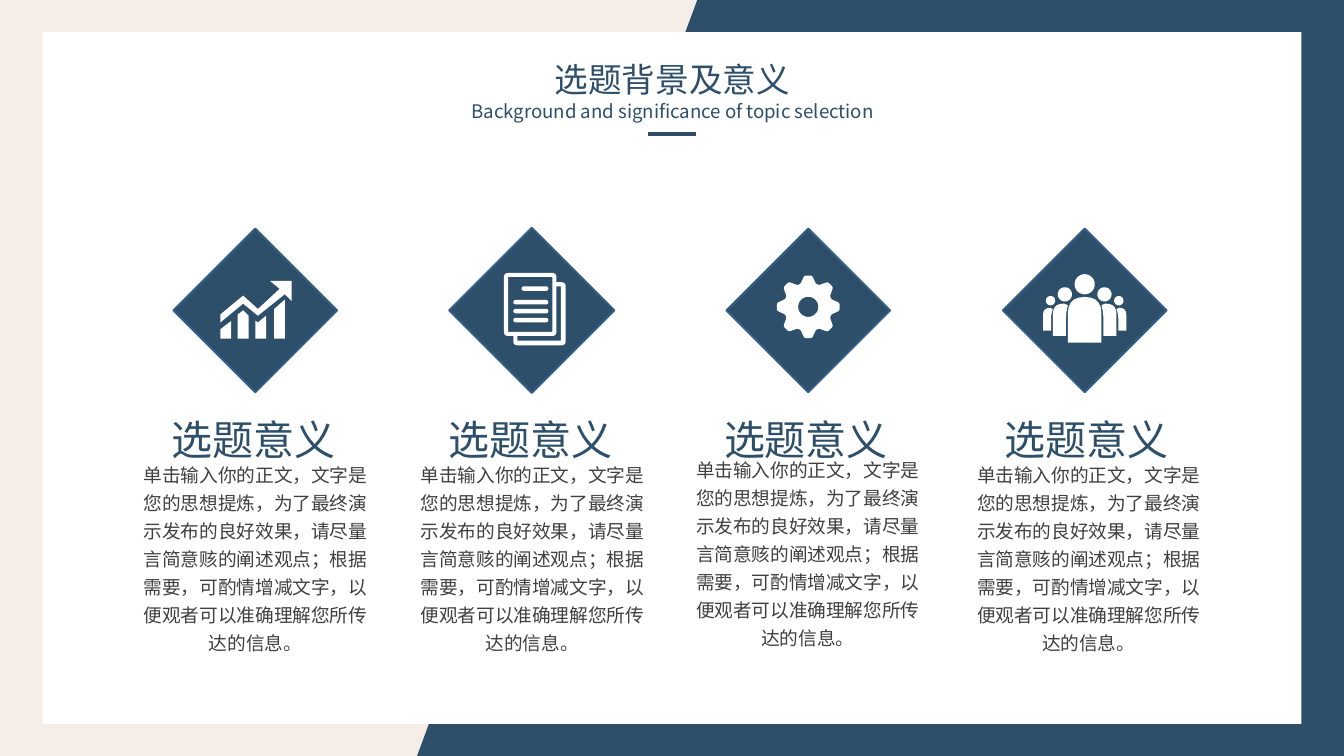
from dataclasses import dataclass
from math import cos, radians, sin

from lxml import etree
from pptx import Presentation
from pptx.dml.color import RGBColor
from pptx.enum.shapes import MSO_CONNECTOR, MSO_SHAPE
from pptx.enum.text import MSO_ANCHOR, MSO_AUTO_SIZE, PP_ALIGN
from pptx.oxml.ns import qn
from pptx.util import Pt

NAVY = RGBColor(0x2D, 0x4F, 0x6A)
EDGE = RGBColor(0x34, 0x5F, 0x8A)
CREAM = RGBColor(0xF5, 0xED, 0xE7)
GREY = RGBColor(0x40, 0x40, 0x40)
WHITE = RGBColor(0xFF, 0xFF, 0xFF)
FONT = "Noto Sans CJK JP"
RECT, ROUND, DIAMOND = MSO_SHAPE.RECTANGLE, MSO_SHAPE.ROUNDED_RECTANGLE, MSO_SHAPE.DIAMOND
STRAIGHT = MSO_CONNECTOR.STRAIGHT
TOP, MIDDLE = MSO_ANCHOR.TOP, MSO_ANCHOR.MIDDLE
FIXED, GROW = MSO_AUTO_SIZE.NONE, MSO_AUTO_SIZE.SHAPE_TO_FIT_TEXT
CENTER = PP_ALIGN.CENTER
WIDTH, HEIGHT = 720, 405
ROW = 166.3  # height of the diamond centres
FIRST, PITCH = 136.8, 148.1

HEAD = "选题意义"
BODY = ("单击输入你的正文，文字是您的思想提炼，为了最终演示发布的良好效果，"
        "请尽量言简意赅的阐述观点；根据需要，可酌情增减文字，"
        "以便观者可以准确理解您所传达的信息。")

Spot = tuple[float, float]
Ring = list[Spot]


@dataclass
class Bar:
    x: float
    y: float
    wide: float
    high: float


@dataclass
class Card:
    """One column; the icon is measured from the centre of its diamond."""
    text_x: float
    rings: list[Ring]
    bars: list[Bar]
    size: float = 87.8
    high: float = 99.4


def polar(r: float, angle: float, y: float = 0) -> Spot:
    return r * cos(radians(angle)), y + r * sin(radians(angle))


def circle(x: float, y: float, r: float) -> Ring:
    return [(x + dx, y + dy) for dx, dy in (polar(r, a) for a in range(0, 360, 10))]


def bend(corners: list[tuple[float, float, float]]) -> Ring:
    """Outline through corners (x, y, radius), each rounded by its radius."""
    ring = []
    for i, (x, y, r) in enumerate(corners):
        if not r:
            ring.append((x, y))
            continue
        ends = []
        for px, py, _ in (corners[i - 1], corners[(i + 1) % len(corners)]):
            part = r / ((px - x) ** 2 + (py - y) ** 2) ** 0.5
            ends.append((x + (px - x) * part, y + (py - y) * part))
        (ax, ay), (bx, by) = ends
        for t in (0, 0.2, 0.4, 0.6, 0.8, 1):
            a, m, b = (1 - t) ** 2, 2 * t * (1 - t), t * t
            ring.append((a * ax + m * x + b * bx, a * ay + m * y + b * by))
    return ring


def box(x: float, y: float, right: float, low: float, r: float) -> Ring:
    return bend([(x, y, r), (right, y, r), (right, low, r), (x, low, r)])


def flip(ring: Ring) -> Ring:
    return [(-x, y) for x, y in ring]


def growth() -> list[Ring]:
    base = 15.1
    return [
        [(-18.7, base), (-13, base), (-13, 5.8), (-18.7, 10.1)],
        [(-9.4, base), (-3.6, base), (-3.6, 2.9), (-6.5, 0), (-9.4, 2.2)],
        [(0, base), (5.8, base), (5.8, 2.9), (1.4, 6.5), (0, 5.5)],
        [(10.1, base), (15.8, base), (15.8, -5.7), (10.1, -0.7)],
        [(19.4, -15.8), (7.9, -15.8), (13, -11.5), (1.4, -0.7), (-6.5, -7.9), (-18.7, 2.2),
         (-18.7, 6.5), (-6.5, -3.6), (1.4, 2.9), (15.8, -8.6), (19.4, -5)],
    ]


def pages() -> list[Ring]:
    outer = bend([(-14.9, -20.1, 2.4), (13.2, -20.1, 2.4), (13.2, -15.1, 0),
                  (18.2, -15.1, 2.4), (18.2, 18.7, 2.4), (-9.9, 18.7, 2.4),
                  (-9.9, 13.7, 0), (-14.9, 13.7, 2.4)])
    back = bend([(13.2, -12.9, 0), (15.6, -12.9, 0), (15.6, 16.2, 0),
                 (-7.7, 16.2, 0), (-7.7, 13.7, 0), (13.2, 13.7, 2.4)])
    return [outer, box(-12.7, -18, 11, 11.5, 0.3), back]


def gear() -> list[Ring]:
    y = -1.9
    teeth = []
    for mid in range(0, 360, 45):
        for r, turn, soft in ((13, -18.5, 0.8), (16.9, -7, 1), (16.9, 7, 1), (13, 18.5, 0.8)):
            teeth.append((*polar(r, mid + turn, y), soft))
    return [bend(teeth), circle(0, y, 5.4)]


def people() -> list[Ring]:
    lead = bend([(-9, 17.3, 0), (-9, -7.2, 8.9), (9, -7.2, 8.9), (9, 17.3, 0)])
    side = [
        circle(10.6, -8.6, 3.8),
        circle(18.3, -5.2, 2.5),
        bend([(10, 13.7, 0), (10, 1.4, 3), (9, -2.8, 0), (11, -3.6, 0),
              (17, -3.6, 5.5), (17, 13.7, 0)]),
        bend([(18, 10.8, 0), (18, 2.4, 2), (17.1, -0.7, 0), (18.4, -1.4, 0),
              (22.3, -1.4, 3.8), (22.3, 10.8, 0)]),
    ]
    return [circle(0, -14, 5.4), lead, *side, *map(flip, side)]


def paint(shape, fill: RGBColor, line: RGBColor | None = None):
    shape.shadow.inherit = False
    shape.fill.solid()
    shape.fill.fore_color.rgb = fill
    if line is None:
        shape.line.fill.background()
    else:
        shape.line.color.rgb = line
        shape.line.width = Pt(1)


def block(slide, kind, area: Bar, fill: RGBColor, line: RGBColor | None = None):
    shape = slide.shapes.add_shape(kind, Pt(area.x), Pt(area.y), Pt(area.wide), Pt(area.high))
    paint(shape, fill, line)
    return shape


def trace(slide, rings: list[Ring], fill: RGBColor, x: float = 0, y: float = 0):
    spots = [[(Pt(x + dx), Pt(y + dy)) for dx, dy in ring] for ring in rings]
    pen = slide.shapes.build_freeform(*spots[0][0], scale=1.0)
    for i, ring in enumerate(spots):
        if i:
            pen.move_to(*ring[0])
        pen.add_line_segments(ring[1:], close=True)
    paint(pen.convert_to_shape(), fill)


def write(frame, lines: list[tuple[str, float]], color: RGBColor, anchor, fit,
          pitch: float | None = None):
    frame.word_wrap = True
    frame.auto_size = fit
    frame.vertical_anchor = anchor
    frame.text = "\n".join(text for text, _ in lines)
    for para, (_, size) in zip(frame.paragraphs, lines):
        para.alignment = CENTER
        if pitch:
            para.line_spacing = Pt(pitch)
        font = para.font
        font.size, font.name = Pt(size), FONT
        font.color.rgb = color
        etree.SubElement(font._rPr, qn("a:ea"), typeface=FONT)


def label(slide, area: Bar, text: str, size: float, *style):
    shape = slide.shapes.add_textbox(Pt(area.x), Pt(area.y), Pt(area.wide), Pt(area.high))
    frame = shape.text_frame
    frame.margin_left = frame.margin_right = Pt(5)
    frame.margin_top = frame.margin_bottom = Pt(2.9)
    write(frame, [(text, size)], *style)


def column(slide, card: Card, x: float):
    half = card.size / 2
    block(slide, DIAMOND, Bar(x - half, ROW - half, card.size, card.size), NAVY, EDGE)
    trace(slide, card.rings, WHITE, x, ROW)
    for bar in card.bars:
        shape = block(slide, ROUND, Bar(x + bar.x, ROW + bar.y, bar.wide, bar.high), WHITE)
        shape.adjustments[0] = 0.5
    label(slide, Bar(card.text_x - 65.5, 248.4, 131, card.high), BODY, 10,
          GREY, MIDDLE, FIXED, 15)
    label(slide, Bar(card.text_x - 52.4, 218.9, 103, 32.4), HEAD, 22, NAVY, TOP, GROW)


def main():
    deck = Presentation()
    deck.slide_width, deck.slide_height = Pt(WIDTH), Pt(HEIGHT)
    slide = deck.slides.add_slide(deck.slide_layouts[5])

    block(slide, RECT, Bar(0, 0, WIDTH, HEIGHT), NAVY)
    trace(slide, [[(0, 0), (373.5, 0), (223.4, HEIGHT), (0, HEIGHT)]], CREAM)
    block(slide, RECT, Bar(22.8, 17.2, 674.4, 370.6), WHITE)
    rule = slide.shapes.add_connector(STRAIGHT, Pt(347), Pt(72), Pt(373), Pt(72))
    rule.line.color.rgb = NAVY
    rule.line.width = Pt(2.25)
    etree.SubElement(rule.element.spPr, qn("a:effectLst"))

    text_bars = [Bar(-5.5, -12.9, 14.4, 2.4)]
    text_bars += [Bar(-9.9, y, 18.8, 2.4) for y in (-5.6, -0.8, 4)]
    cards = [
        Card(136.8, growth(), []),
        Card(285.1, pages(), text_bars, size=88.6),
        Card(432.7, gear(), [], high=94.3),
        Card(583.2, people(), []),
    ]
    for i, card in enumerate(cards):
        column(slide, card, FIRST + i * PITCH)

    title = slide.shapes.title
    title.left, title.top, title.width, title.height = Pt(236), Pt(28.1), Pt(248.4), Pt(41)
    write(title.text_frame, [("选题背景及意义", 18),
                             ("Background and significance of topic selection", 10)],
          NAVY, TOP, FIXED)
    title.element.getparent().append(title.element)  # bring to front

    deck.save("out.pptx")


if __name__ == "__main__":
    main()
